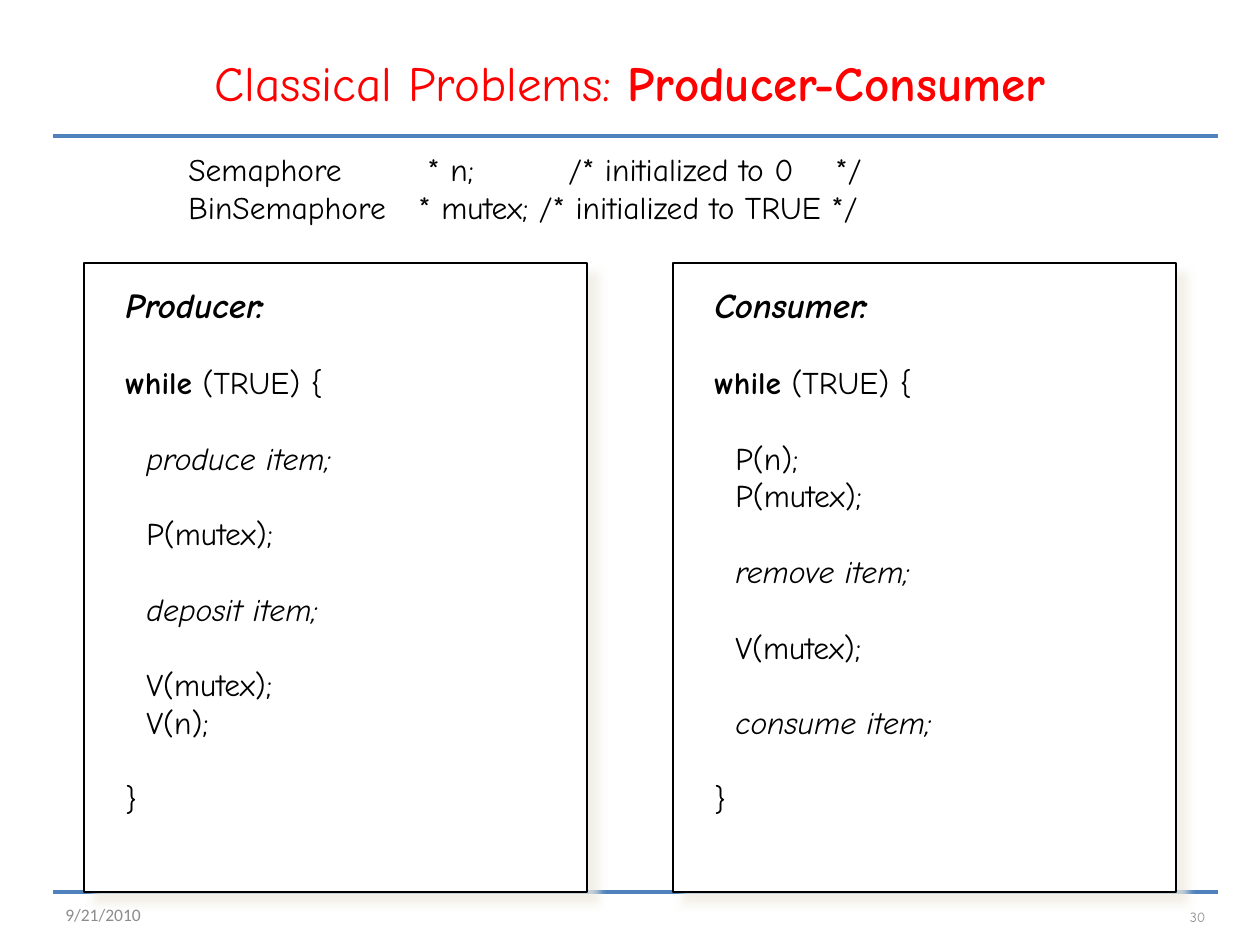
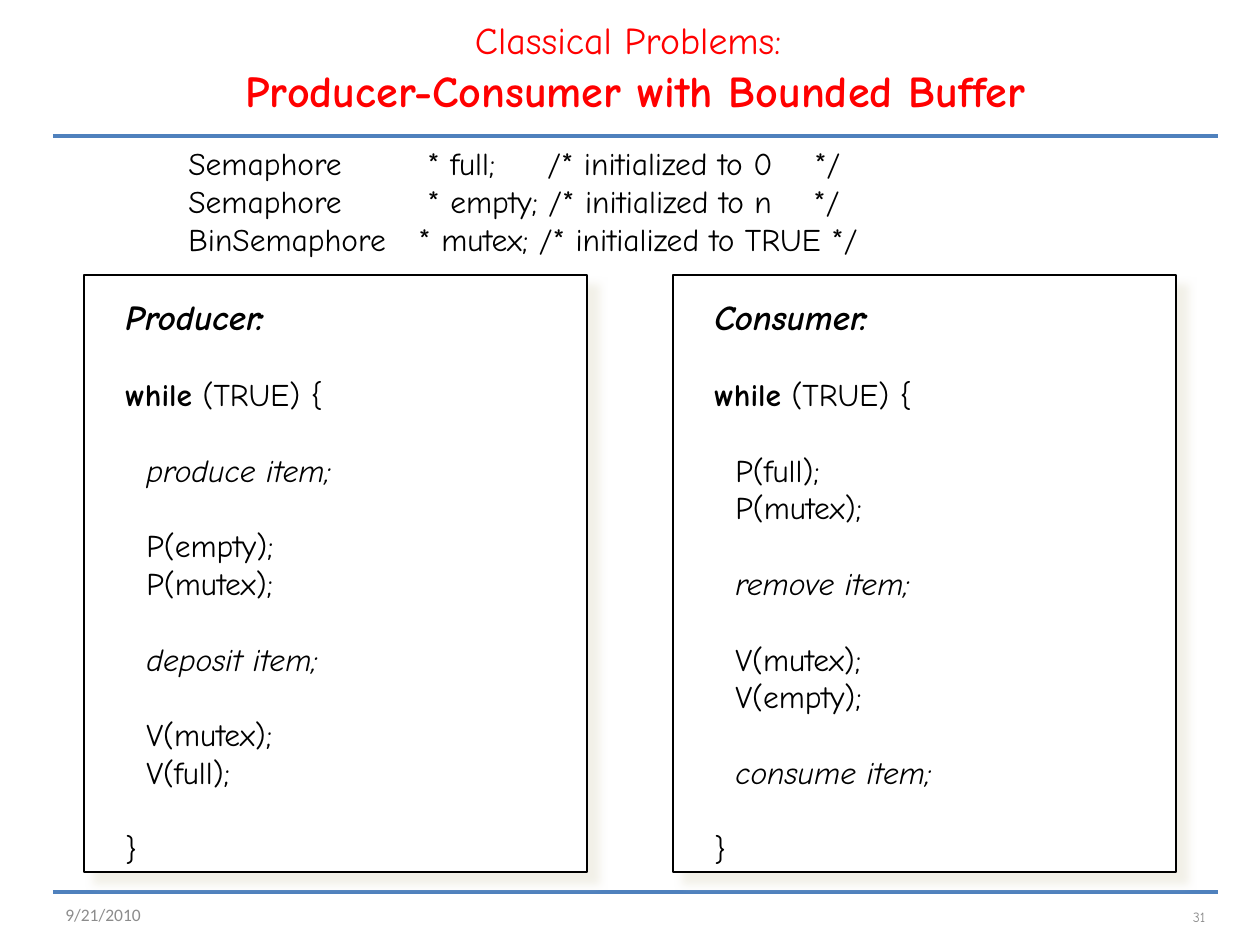
import dataclasses
import typing

import lxml.etree
import pptx
import pptx.dml.color
import pptx.enum.shapes
import pptx.enum.text
import pptx.oxml
import pptx.oxml.ns
import pptx.util

SCALE = 914400 / 126
RED, BLACK, WHITE = "FF0000", "000000", "FFFFFF"
BLUE, GRAY, CREAM = "4F81BD", "8C8C8C", "EEECE1"
FONT = "Comic Neue"
ALIGN = pptx.enum.text.PP_ALIGN
ANCHOR = pptx.enum.text.MSO_ANCHOR
LEFT, RIGHT = 53, 1218
RULES = (136, 892)
CARDS = (84, 673)
CARD_W = 503
GAP = 21.6
STEP = 21


@dataclasses.dataclass
class Run:
    """A piece of text in one style; a line break when it is a newline."""
    text: str
    size: float = 18
    bold: bool = False
    slant: bool = False


@dataclasses.dataclass
class Line:
    """A paragraph with its gap above, indent and tab stops."""
    runs: list[Run]
    gap: float = 0
    dent: int = 0
    tabs: tuple[int, ...] = ()


@dataclasses.dataclass
class Code:
    """The heading and grouped steps of one process."""
    name: str
    steps: list[list[str]]


@dataclasses.dataclass
class Page:
    """The content of one slide."""
    number: str
    title: list[Run]
    head: tuple[int, int, int, int]
    decls: list[Line]
    decl_y: int
    card_y: int
    card_h: int
    codes: list[Code]


def px(value: float) -> int:
    """Turn pixels into EMU."""
    return round(value * SCALE)


def color(code: str) -> pptx.dml.color.RGBColor:
    """Turn a hex string into a colour."""
    return pptx.dml.color.RGBColor.from_string(code)


def shade(shape: typing.Any) -> None:
    """Cast a soft shadow to the lower right."""
    shape.shadow.inherit = False
    space = pptx.oxml.ns.nsdecls("a")
    glow = pptx.oxml.parse_xml(
        f'<a:outerShdw {space} blurRad="63500" dist="107950" dir="2700000" '
        f'algn="ctr" rotWithShape="0"><a:srgbClr val="{CREAM}">'
        '<a:alpha val="75000"/></a:srgbClr></a:outerShdw>')
    shape._element.spPr.find(pptx.oxml.ns.qn("a:effectLst")).append(glow)


def add_text(slide: typing.Any, lines: list[Line], box: tuple[int, int, int, int], *,
             font: str = FONT, fill: str = BLACK, align: typing.Any = ALIGN.LEFT,
             anchor: typing.Any = ANCHOR.TOP) -> None:
    """Write formatted lines in a text box."""
    frame = slide.shapes.add_textbox(*map(px, box)).text_frame
    frame.word_wrap = True
    frame.vertical_anchor = anchor
    for index, line in enumerate(lines):
        para = frame.add_paragraph() if index else frame.paragraphs[0]
        para.alignment = align
        if line.gap:
            para.space_before = pptx.util.Pt(line.gap)
        props = para._p.get_or_add_pPr()
        if line.dent:
            props.set("marL", str(px(line.dent)))
        if line.tabs:
            stops = lxml.etree.SubElement(props, pptx.oxml.ns.qn("a:tabLst"))
            for stop in line.tabs:
                lxml.etree.SubElement(stops, pptx.oxml.ns.qn("a:tab"),
                                      pos=str(px(stop)), algn="l")
        for part in line.runs:
            if part.text == "\n":
                para.add_line_break()
                continue
            run = para.add_run()
            run.text = part.text
            run.font.name = font
            run.font.size = pptx.util.Pt(part.size)
            run.font.bold = part.bold
            run.font.italic = part.slant
            run.font.color.rgb = color(fill)


def add_rule(slide: typing.Any, y: int) -> None:
    """Draw a blue line across the slide."""
    rule = slide.shapes.add_connector(
        pptx.enum.shapes.MSO_CONNECTOR.STRAIGHT, px(LEFT), px(y), px(RIGHT), px(y))
    rule.line.color.rgb = color(BLUE)
    rule.line.width = pptx.util.Pt(2)
    lxml.etree.SubElement(rule._element.spPr, pptx.oxml.ns.qn("a:effectLst"))


def add_card(slide: typing.Any, x: int, y: int, height: int) -> None:
    """Draw the white panel behind a process."""
    card = slide.shapes.add_shape(pptx.enum.shapes.MSO_SHAPE.RECTANGLE,
                                  px(x), px(y), px(CARD_W), px(height))
    card.fill.solid()
    card.fill.fore_color.rgb = color(WHITE)
    card.line.color.rgb = color(BLACK)
    card.line.width = pptx.util.Pt(1)
    shade(card)


def code_lines(code: Code) -> list[Line]:
    """Lay out a process as a heading and a loop."""
    lines = [Line([Run(code.name, 20, True, True)]),
             Line([Run("while", bold=True), Run(" (TRUE) {")], GAP)]
    for group in code.steps:
        for index, step in enumerate(group):
            run = Run(step, slant=step.endswith("item;"))
            lines.append(Line([run], 0 if index else GAP, STEP))
    return lines + [Line([Run("}")], GAP)]


def add_page(deck: typing.Any, page: Page) -> None:
    """Build one slide."""
    slide = deck.slides.add_slide(deck.slide_layouts[6])
    for y in RULES:
        add_rule(slide, y)
    for x in CARDS:
        add_card(slide, x, page.card_y, page.card_h)
    add_text(slide, [Line(page.title)], page.head, fill=RED,
             align=ALIGN.CENTER, anchor=ANCHOR.MIDDLE)
    for x, code in zip(CARDS, page.codes):
        add_text(slide, code_lines(code), (x + 29, page.card_y + 14, 520, page.card_h - 14))
    add_text(slide, page.decls, (176, page.decl_y, 769, 38 * len(page.decls) + 13))
    add_text(slide, [Line([Run("9/21/2010", 10)])], (LEFT, 895, 189, 40),
             font="Calibri", fill=GRAY, anchor=ANCHOR.MIDDLE)
    add_text(slide, [Line([Run(page.number, 8)])], (1102, 892, 116, 50),
             fill=GRAY, align=ALIGN.RIGHT, anchor=ANCHOR.MIDDLE)


MUTEX = Line([Run("BinSemaphore\t* mutex; /* initialized to TRUE */")], tabs=(230,))
PAGES = [
    Page("30",
         [Run("Classical Problems: ", 28), Run("Producer-Consumer", 28, True)],
         (63, 38, 1134, 88),
         [Line([Run("Semaphore\t* n;\t/* initialized to 0\t*/")], tabs=(239, 380, 647)),
          MUTEX],
         144, 263, 629,
         [Code("Producer:", [["produce item;"], ["P(mutex);"], ["deposit item;"],
                             ["V(mutex);", "V(n);"]]),
          Code("Consumer:", [["P(n);", "P(mutex);"], ["remove item;"], ["V(mutex);"],
                             ["consume item;"]])]),
    Page("31",
         [Run("Classical Problems:", 21.6), Run(" ", 25.2), Run("\n"),
          Run("Producer-Consumer with Bounded Buffer", 25.2, True)],
         (LEFT, 0, 1165, 126),
         [Line([Run("Semaphore\t* full;\t/* initialized to 0\t*/")], tabs=(239, 359, 626)),
          Line([Run("Semaphore\t* empty; /* initialized to n\t*/")], tabs=(239, 625)),
          MUTEX],
         138, 275, 597,
         [Code("Producer:", [["produce item;"], ["P(empty);", "P(mutex);"],
                             ["deposit item;"], ["V(mutex);", "V(full);"]]),
          Code("Consumer:", [["P(full);", "P(mutex);"], ["remove item;"],
                             ["V(mutex);", "V(empty);"], ["consume item;"]])]),
]


def main() -> None:
    """Build and save the deck."""
    deck = pptx.Presentation()
    deck.slide_width = px(1260)
    deck.slide_height = px(945)
    for page in PAGES:
        add_page(deck, page)
    deck.save("out.pptx")


main()
